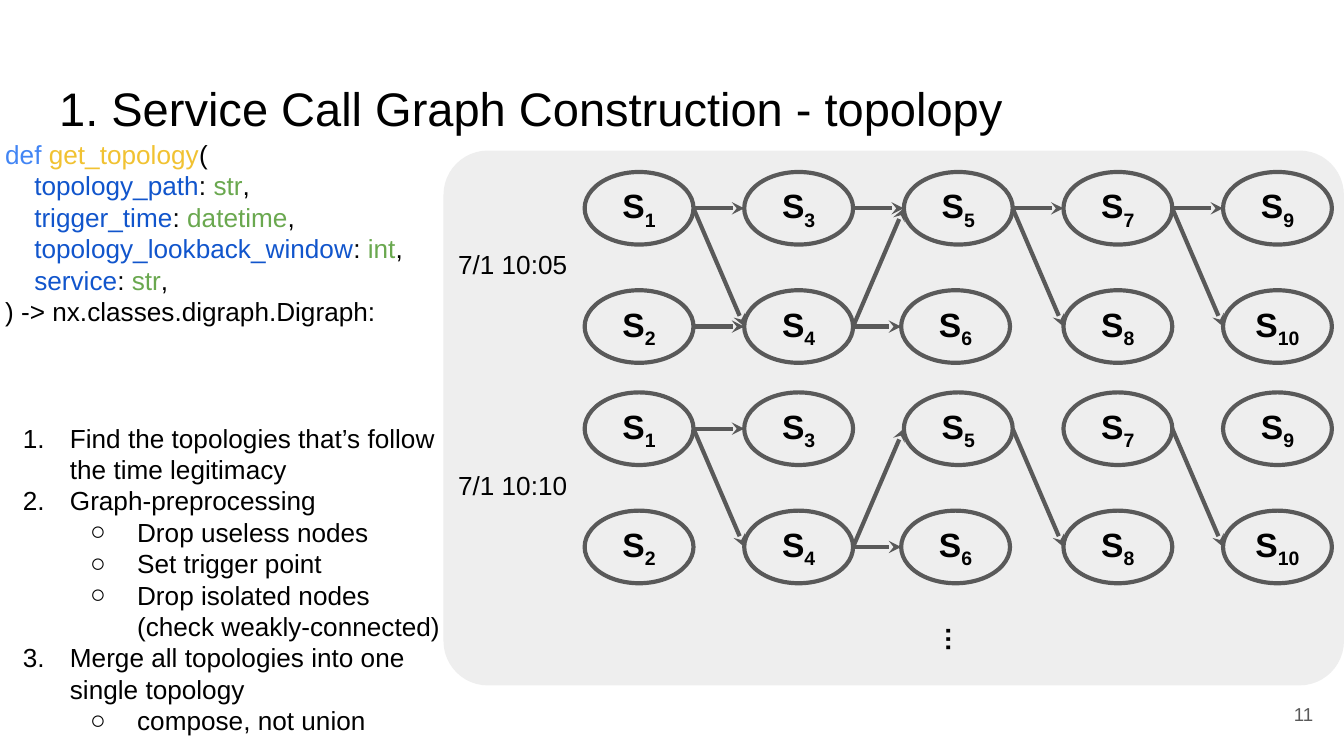
from lxml import etree
from pptx import Presentation
from pptx.dml.color import RGBColor
from pptx.enum.shapes import MSO_CONNECTOR, MSO_SHAPE
from pptx.enum.text import MSO_ANCHOR, PP_ALIGN
from pptx.oxml.ns import qn
from pptx.util import Inches, Pt

LEFT, CENTER, RIGHT = PP_ALIGN.LEFT, PP_ALIGN.CENTER, PP_ALIGN.RIGHT
TOP, MIDDLE = MSO_ANCHOR.TOP, MSO_ANCHOR.MIDDLE
OVAL, PANEL = MSO_SHAPE.OVAL, MSO_SHAPE.ROUNDED_RECTANGLE
LINE = MSO_CONNECTOR.STRAIGHT

BLACK, GRAY, PALE = "000000", "595959", "EEEEEE"
BLUE, GOLD, NAVY, GREEN = "4285F4", "F1C232", "1155CC", "6AA84F"

# Slide of 16 to 9
WIDTH = 10
HEIGHT = WIDTH * 9 / 16

# Grid of nodes: five columns, two rows
NODE_W, NODE_H = 0.81, 0.54
GRID_X, STEP_X, STEP_Y = 4.35, 4.75 / 4, 0.88
NUDGE = {6: -0.02}

ARGS = [("topology_path", "str"), ("trigger_time", "datetime"),
        ("topology_lookback_window", "int"), ("service", "str")]
STEPS = [
    (0, "Find the topologies that’s follow the time legitimacy"),
    (0, "Graph-preprocessing"),
    (1, "Drop useless nodes"),
    (1, "Set trigger point"),
    (1, "Drop isolated nodes (check weakly-connected)"),
    (0, "Merge all topologies into one single topology"),
    (1, "compose, not union"),
]
CORE = [(1, 3), (1, 4), (4, 5), (4, 6), (5, 8), (7, 10)]
EXTRA = [(2, 4), (3, 5), (5, 7), (7, 9)]


def color(code):
    return RGBColor.from_string(code)


def place(shape, x, y, w, h):
    shape.left, shape.top = Inches(x), Inches(y)
    shape.width, shape.height = Inches(w), Inches(h)


def write(frame, paras, size=14, bold=False, ink=BLACK, align=LEFT,
          anchor=TOP, pitch=None, wrap=True):
    """Fill a frame; a paragraph is a string or a list of (text, colour)."""
    frame.word_wrap, frame.vertical_anchor = wrap, anchor
    frame.margin_left = frame.margin_right = Inches(0.1)
    frame.margin_top = frame.margin_bottom = Inches(0.1)
    for i, runs in enumerate(paras):
        para = frame.add_paragraph() if i else frame.paragraphs[0]
        para.alignment, para.space_before = align, Pt(0)
        if pitch:
            para.line_spacing = Pt(pitch)
        for text, tint in [(runs, ink)] if isinstance(runs, str) else runs:
            run = para.add_run()
            run.text = text
            font = run.font
            font.name, font.size, font.bold = "Arial", Pt(size), bold
            font.color.rgb = color(tint)


def label(shapes, text, box, turn=0, **form):
    item = shapes.add_textbox(0, 0, 0, 0)
    place(item, *box)
    item.rotation = turn
    write(item.text_frame, [text] if isinstance(text, str) else text, **form)


def bullet(para, level):
    para.level = level
    props = para._p.get_or_add_pPr()
    props.set("marL", str(Inches(0.5 * (level + 1))))
    props.set("indent", str(-Inches(0.35)))
    tint = etree.SubElement(props, qn("a:buClr"))
    etree.SubElement(tint, qn("a:srgbClr"), val=BLACK)
    etree.SubElement(props, qn("a:buFont"), typeface="Arial")
    if level:
        etree.SubElement(props, qn("a:buChar"), char="○")
    else:
        etree.SubElement(props, qn("a:buAutoNum"), type="arabicPeriod")


def spot(num, top):
    """Left and top of a node; odd numbers are above even ones."""
    col, row = divmod(num - 1, 2)
    return GRID_X + col * STEP_X + NUDGE.get(num, 0), top + row * STEP_Y


def node(shapes, num, top):
    oval = shapes.add_shape(OVAL, 0, 0, 0, 0)
    place(oval, *spot(num, top), NODE_W, NODE_H)
    oval.shadow.inherit = False
    oval.fill.background()
    oval.line.color.rgb, oval.line.width = color(GRAY), Pt(2.25)
    write(oval.text_frame, [[("S", BLACK), (str(num), BLACK)]], size=18,
          bold=True, align=CENTER, anchor=MIDDLE, wrap=False)
    sub = oval.text_frame.paragraphs[0].runs[1]
    sub._r.get_or_add_rPr().set("baseline", "-25000")


def arrow(shapes, start, end, top):
    (x1, y1), (x2, y2) = spot(start, top), spot(end, top)
    mid = NODE_H / 2
    link = shapes.add_connector(LINE, Inches(x1 + NODE_W), Inches(y1 + mid),
                                Inches(x2), Inches(y2 + mid))
    link.line.color.rgb, link.line.width = color(GRAY), Pt(2.25)
    props = link._element.spPr
    etree.SubElement(props.find(qn("a:ln")), qn("a:tailEnd"), type="stealth")
    etree.SubElement(props, qn("a:effectLst"))


def graph(slide, time, top, links):
    shapes = slide.shapes.add_group_shape().shapes
    label(shapes, time, (3.31, top + 0.47, 1.08, 0.44), wrap=False)
    for num in range(1, 11):
        node(shapes, num, top)
    for start, end in links:
        arrow(shapes, start, end, top)


def panel(slide):
    back = slide.shapes.add_shape(PANEL, 0, 0, 0, 0)
    place(back, 3.3, 1.12, 6.7, 3.98)
    back.adjustments[0] = 0.083
    back.shadow.inherit = False
    back.fill.solid()
    back.fill.fore_color.rgb = color(PALE)
    back.line.fill.background()


def code(slide):
    lines = [[("def ", BLUE), ("get_topology", GOLD), ("(", BLACK)]]
    for name, kind in ARGS:
        lines.append([("    ", BLACK), (name, NAVY), (": ", BLACK),
                      (kind, GREEN), (",", BLACK)])
    lines.append(") -> nx.classes.digraph.Digraph:")
    label(slide.shapes, lines, (-0.06, 0.93, 3.69, 1.62), pitch=16.8)


def main():
    deck = Presentation()
    deck.slide_width, deck.slide_height = Inches(WIDTH), Inches(HEIGHT)
    slide = deck.slides.add_slide(deck.slide_layouts[1])
    title, body = slide.placeholders

    place(title, 0.34, 0.49, 9.32, 0.63)
    write(title.text_frame, ["1. Service Call Graph Construction - topolopy"],
          size=25.2)
    place(body, -0.08, 3.04, 3.46, 2.56)
    write(body.text_frame, [text for _, text in STEPS], pitch=16.8)
    for para, (level, _) in zip(body.text_frame.paragraphs, STEPS):
        bullet(para, level)

    panel(slide)
    code(slide)
    graph(slide, "7/1 10:05", 1.28, CORE + EXTRA)
    graph(slide, "7/1 10:10", 2.92, CORE)
    label(slide.shapes, "…", (6.91, 4.55, 0.41, 0.44), turn=90, bold=True)
    label(slide.shapes, "11", (9.27, 5.1, 0.6, 0.43), size=10, ink=GRAY,
          align=RIGHT, anchor=MIDDLE)
    deck.save("out.pptx")


if __name__ == "__main__":
    main()
